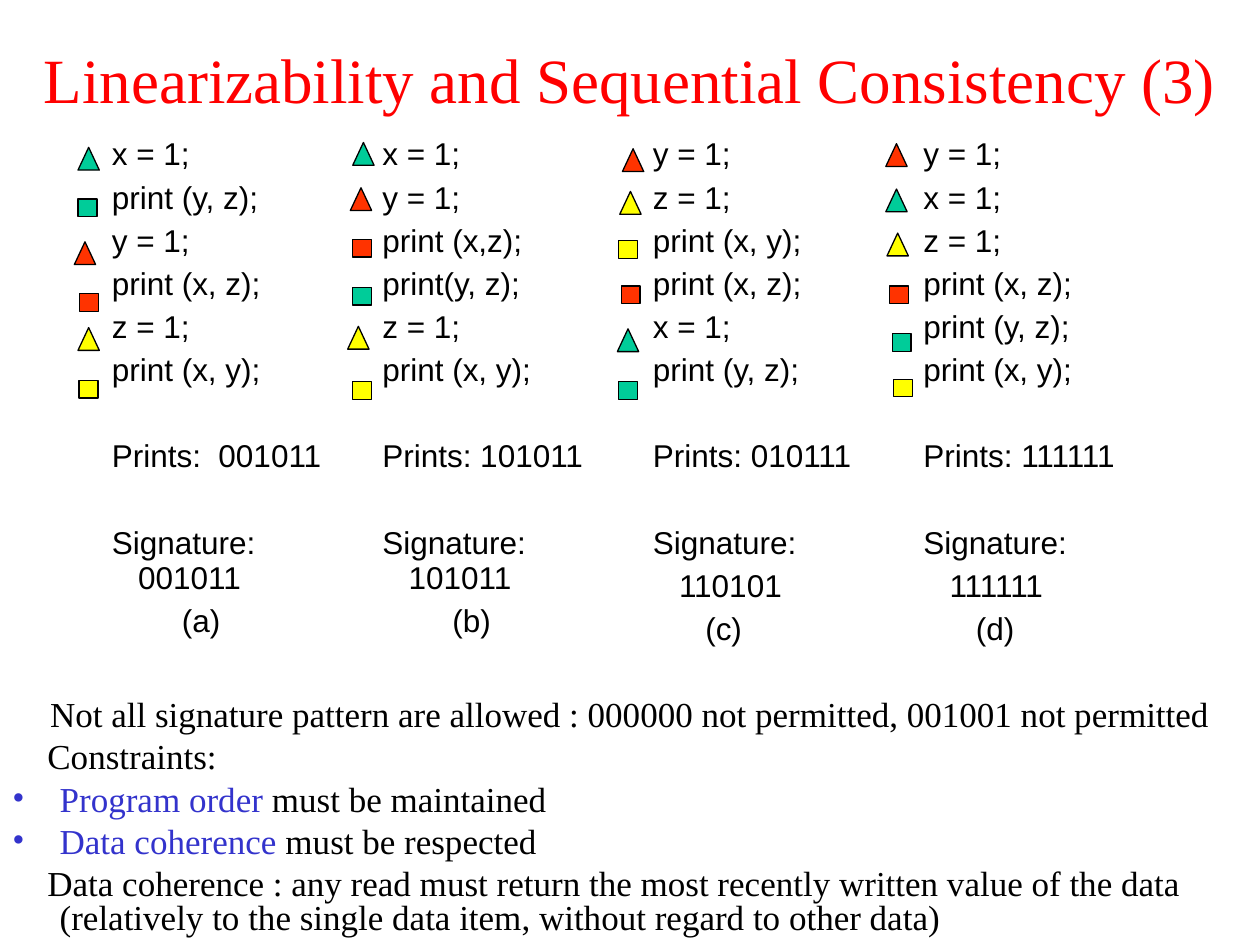
"""Build a slide comparing four interleavings under sequential consistency."""
from dataclasses import dataclass

from lxml.etree import SubElement
from pptx import Presentation
from pptx.dml.color import RGBColor
from pptx.enum.shapes import MSO_SHAPE
from pptx.enum.text import MSO_ANCHOR, PP_ALIGN
from pptx.oxml.ns import qn
from pptx.util import Pt

BLACK = RGBColor(0x00, 0x00, 0x00)
RED = RGBColor(0xFF, 0x00, 0x00)
BLUE = RGBColor(0x33, 0x33, 0xCC)
PROCESS_COLORS = {
    "x": RGBColor(0x00, 0xCC, 0x99),
    "y": RGBColor(0xFF, 0x33, 0x00),
    "z": RGBColor(0xFF, 0xFF, 0x00),
}
TITLE_FONT = {"name": "Times New Roman", "size": Pt(36)}
BODY_FONT = {"name": "Times New Roman", "size": Pt(20)}
CODE_FONT = {"name": "Arial", "size": Pt(18)}
LINE_GAP = 4.5
SECTION_GAP = 29.15
HANGING = 27


@dataclass(frozen=True)
class Step:
    text: str
    left: float
    top: float

    @property
    def is_print(self) -> bool:
        return self.text.startswith("print")

    @property
    def process(self) -> str:
        if self.is_print:
            return next(name for name in "xyz" if name not in self.text)
        return self.text[0]


@dataclass(frozen=True)
class Execution:
    label: str
    prints: str
    signature: str
    signature_gap: float
    label_indent: float
    steps: tuple[Step, ...]


@dataclass(frozen=True)
class Note:
    runs: tuple[tuple[str, RGBColor], ...]
    margin: float = 0
    indent: float = 0
    bullet: bool = False
    alignment: PP_ALIGN = PP_ALIGN.LEFT


EXECUTIONS = (
    Execution("(a)", "Prints:  001011", "001011", 0, 40, (
        Step("x = 1;", 44.6, 84.2), Step("print (y, z);", 44.6, 113.8),
        Step("y = 1;", 42.5, 138.2), Step("print (x, z);", 45.4, 167.8),
        Step("z = 1;", 44.6, 187.2), Step("print (x, y);", 45.2, 217.4))),
    Execution("(b)", "Prints: 101011", "101011", 0, 40, (
        Step("x = 1;", 201.6, 81.4), Step("y = 1;", 200.2, 107.3),
        Step("print (x,z);", 201.6, 136.8), Step("print(y, z);", 201.6, 164.2),
        Step("z = 1;", 198.7, 186.5), Step("print (x, y);", 201.6, 218.2))),
    Execution("(c)", "Prints: 010111", "110101", LINE_GAP, 30, (
        Step("y = 1;", 355.7, 85), Step("z = 1;", 354.2, 109.4),
        Step("print (x, y);", 353.5, 137.5), Step("print (x, z);", 355, 163.4),
        Step("x = 1;", 352.8, 187.9), Step("print (y, z);", 353.5, 218.2))),
    Execution("(d)", "Prints: 111111", "111111", LINE_GAP, 30, (
        Step("y = 1;", 506.2, 82.1), Step("x = 1;", 506.2, 108),
        Step("z = 1;", 506.9, 133.2), Step("print (x, z);", 508.3, 163.4),
        Step("print (y, z);", 509.8, 190.8), Step("print (x, y);", 510.5, 216.7))),
)
NOTES = (
    Note((("Not all signature pattern are allowed : 000000 not permitted, "
           "001001 not permitted", BLACK),), alignment=PP_ALIGN.CENTER),
    Note((("Constraints:", BLACK),), 20),
    Note((("Program order", BLUE), (" must be maintained", BLACK)),
         HANGING, -HANGING, True),
    Note((("Data coherence", BLUE), (" must be respected", BLACK)),
         HANGING, -HANGING, True),
    Note((("Data coherence : any read must return the most recently written value "
           "of the data (relatively to the single data item, without regard to "
           "other data)", BLACK),), HANGING, -7),
)


def apply(target, values: dict) -> None:
    for name, value in values.items():
        setattr(target, name, value)


def add_run(paragraph, text: str, font: dict, color: RGBColor) -> None:
    run = paragraph.add_run()
    run.text = text
    apply(run.font, font)
    run.font.color.rgb = color


def next_paragraph(frame, index: int, margin: float = 0, indent: float = 0):
    paragraph = frame.paragraphs[0] if index == 0 else frame.add_paragraph()
    properties = paragraph._p.get_or_add_pPr()
    properties.set("marL", str(int(Pt(margin))))
    properties.set("indent", str(int(Pt(indent))))
    return paragraph


def add_text_box(slide, top: float, height: float, anchor: MSO_ANCHOR):
    frame = slide.shapes.add_textbox(Pt(0), Pt(top), Pt(720), Pt(height)).text_frame
    apply(frame, {"word_wrap": True, "vertical_anchor": anchor})
    return frame


def add_bullet(paragraph) -> None:
    properties = paragraph._p.get_or_add_pPr()
    color = SubElement(properties, qn("a:buClr"))
    SubElement(color, qn("a:srgbClr"), val=str(BLUE))
    SubElement(properties, qn("a:buFont"), typeface="Times New Roman")
    SubElement(properties, qn("a:buChar"), char="•")


def add_notes(slide) -> None:
    frame = add_text_box(slide, 396.7, 143.3, MSO_ANCHOR.TOP)
    for index, note in enumerate(NOTES):
        paragraph = next_paragraph(frame, index, note.margin, note.indent)
        apply(paragraph, {"alignment": note.alignment, "line_spacing": 0.8,
                          "space_before": Pt(5)})
        if note.bullet:
            add_bullet(paragraph)
        for text, color in note.runs:
            add_run(paragraph, text, BODY_FONT, color)


def fill_cell(cell, execution: Execution) -> None:
    cell.fill.background()
    lines = [(step.text, LINE_GAP, 0) for step in execution.steps] + [
        (execution.prints, SECTION_GAP, 0),
        ("Signature:", SECTION_GAP, 0),
        (execution.signature, execution.signature_gap, 15),
        (execution.label, LINE_GAP, execution.label_indent),
    ]
    for index, (text, gap, margin) in enumerate(lines):
        paragraph = next_paragraph(cell.text_frame, index, margin)
        paragraph.space_before = Pt(gap)
        add_run(paragraph, text, CODE_FONT, BLACK)


def add_executions(slide) -> None:
    table = slide.shapes.add_table(
        1, len(EXECUTIONS), Pt(56.7), Pt(74.9), Pt(618.4), Pt(314)).table
    apply(table, {"first_row": False, "horz_banding": False})
    for column, execution in enumerate(EXECUTIONS):
        fill_cell(table.cell(0, column), execution)


def add_marker(slide, step: Step) -> None:
    kind, width, height = ((MSO_SHAPE.RECTANGLE, 10.8, 10.1) if step.is_print
                           else (MSO_SHAPE.ISOSCELES_TRIANGLE, 12.2, 13))
    shape = slide.shapes.add_shape(
        kind, Pt(step.left), Pt(step.top), Pt(width), Pt(height))
    shape.shadow.inherit = False
    shape.fill.solid()
    shape.fill.fore_color.rgb = PROCESS_COLORS[step.process]
    shape.line.color.rgb = BLACK
    shape.line.width = Pt(0.74)


def main() -> None:
    presentation = Presentation()
    apply(presentation, {"slide_width": Pt(720), "slide_height": Pt(540)})
    slide = presentation.slides.add_slide(presentation.slide_layouts[6])
    title = add_text_box(slide, 0, 90, MSO_ANCHOR.MIDDLE).paragraphs[0]
    title.alignment = PP_ALIGN.CENTER
    add_run(title, "Linearizability and Sequential Consistency (3)", TITLE_FONT, RED)
    add_notes(slide)
    add_executions(slide)
    for execution in EXECUTIONS:
        for step in execution.steps:
            add_marker(slide, step)
    presentation.save("out.pptx")


main()
